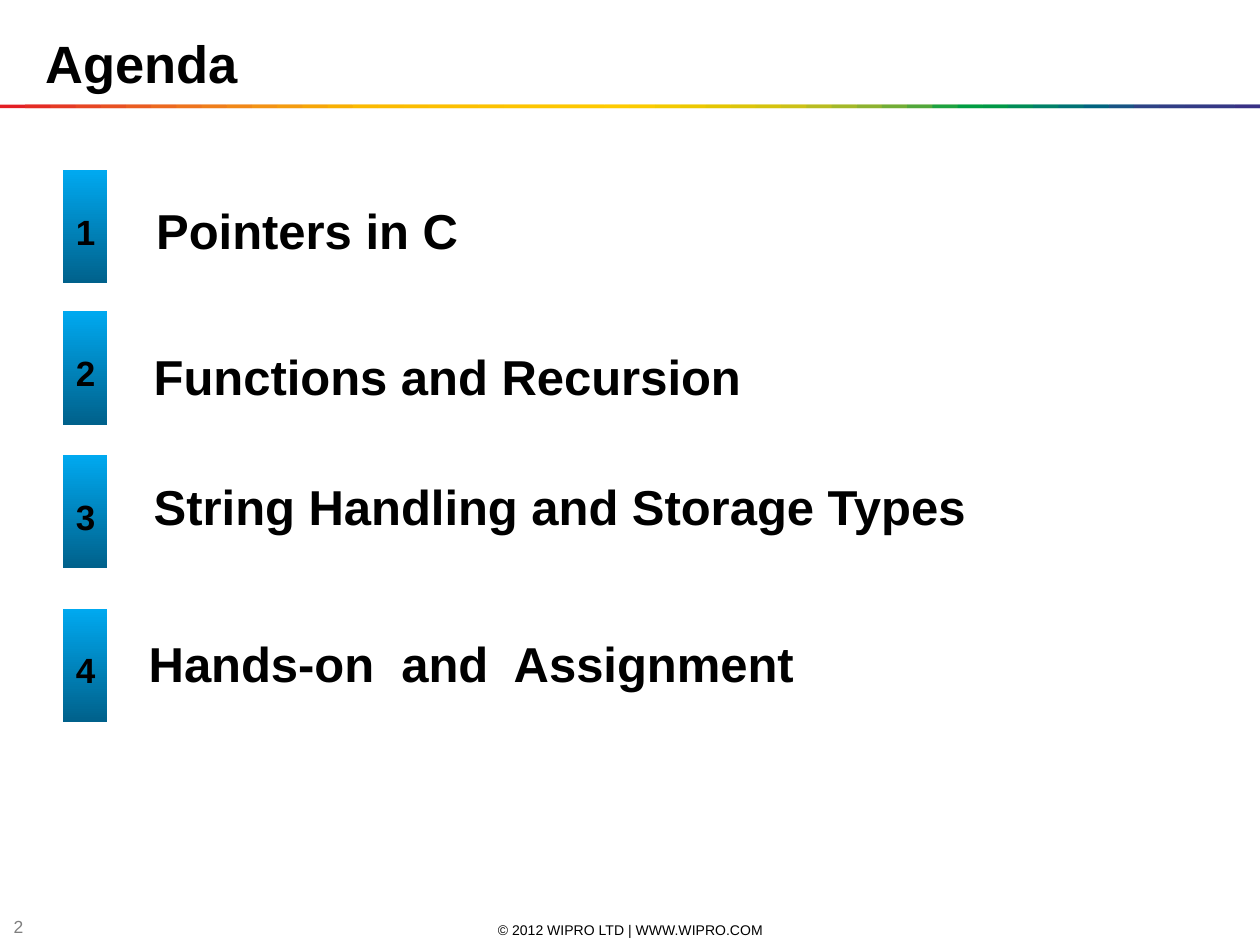
from dataclasses import dataclass

from lxml import etree
from pptx import Presentation
from pptx import util as u
from pptx.dml.color import RGBColor
from pptx.enum import shapes, text
from pptx.oxml import ns

COLS, ROWS = 100, 75
WIDTH, HEIGHT = u.Inches(10), u.Inches(7.5)
COMPARISON_LAYOUT = 4


@dataclass(frozen=True)
class Theme:
    font: str = "Arial"
    ink: str = "000000"
    muted: str = "7F7F7F"
    badge_dark: str = "00618B"
    badge_light: str = "00A9F0"
    title_size: int = 30
    item_size: int = 28
    badge_size: int = 20
    page_size: int = 10
    footer_size: int = 8
    rainbow: tuple = tuple("""
        E31E24 E42C24 E53A24 E74623 E85122 EA5D21 EC691F EE741D EF7E1A F18817
        F39314 F49C0F F6A607 F8B002 FBBA00 FBBB00 FBBD00 FCBF00 FCC000 FCC200
        FDC400 FDC600 FDC700 FEC900 FECB00 FBCB00 F3CA00 ECC800 E4C602 DCC50A
        D5C30E CCC117 B8BC21 A3B829 8CB230 71AD36 51A73B 1DA240 009D43 009846
        008C57 008068 007275 00637F 185384 2E4285 313E85 333B85 353885 393185
    """.split())


THEME = Theme()

# label, badge row, text column, text row, text columns, text rows
AGENDA = [
    ("Pointers in C", 13.5, 11.6, 15, 76.7, 7.1),
    ("Functions and Recursion", 24.7, 11.4, 26.6, 76.7, 7.1),
    ("String Handling and Storage Types", 36.1, 11.4, 36.9, 82.5, 9.8),
    ("Hands-on  and  Assignment", 48.3, 11, 49.4, 76.7, 7.1),
]


def cells(col, row, cols, rows):
    return (int(WIDTH * col / COLS), int(HEIGHT * row / ROWS),
            int(WIDTH * cols / COLS), int(HEIGHT * rows / ROWS))


def place(sp, box):
    sp.left, sp.top, sp.width, sp.height = cells(*box)


def write(sp, words, size, color=THEME.ink, bold=False,
          align=text.PP_ALIGN.LEFT, anchor=text.MSO_ANCHOR.TOP,
          side=0.1, top=0.05):
    tf = sp.text_frame
    tf.word_wrap = True
    tf.auto_size = text.MSO_AUTO_SIZE.NONE
    tf.vertical_anchor = anchor
    tf.margin_left = tf.margin_right = u.Inches(side)
    tf.margin_top, tf.margin_bottom = u.Inches(top), u.Inches(0.05)
    p = tf.paragraphs[0]
    p.alignment = align
    p.space_before = u.Pt(0)
    r = p.add_run()
    r.text = words
    r.font.name, r.font.size, r.font.bold = THEME.font, u.Pt(size), bold
    r.font.color.rgb = RGBColor.from_string(color)
    return p


def add_label(slide, box, words, size, **style):
    write(slide.shapes.add_textbox(*cells(*box)), words, size, **style)


def add_block(parent, box):
    sp = parent.shapes.add_shape(shapes.MSO_SHAPE.RECTANGLE, *cells(*box))
    sp.shadow.inherit = False
    sp.line.fill.background()
    return sp


def add_rainbow(slide):
    group = slide.shapes.add_group_shape()
    step = COLS / len(THEME.rainbow)
    for i, color in enumerate(THEME.rainbow):
        col = i * step
        sp = add_block(group, (col, 8.3, min(2 * step, COLS - col), 0.3))
        sp.fill.solid()
        sp.fill.fore_color.rgb = RGBColor.from_string(color)


def add_badge(slide, number, row):
    fill = add_block(slide, (5, row, 3.5, 9)).fill
    fill.gradient()
    fill.gradient_angle = 90
    for stop, color in zip(fill.gradient_stops,
                           (THEME.badge_dark, THEME.badge_light)):
        stop.color.rgb = RGBColor.from_string(color)
    add_label(slide, (5.1, row + 2.5, 3.4, 2), str(number), THEME.badge_size,
              bold=True, align=text.PP_ALIGN.CENTER, side=0.05, top=0.07)


def fill_item(sp, words, box):
    place(sp, box)
    p = write(sp, words, THEME.item_size, bold=True, side=0.08, top=0.09)
    pPr = p._p.get_or_add_pPr()
    pPr.set("marL", "0")
    pPr.set("indent", "0")
    etree.SubElement(pPr, ns.qn("a:buNone"))


def main():
    prs = Presentation()
    prs.slide_width, prs.slide_height = WIDTH, HEIGHT
    slide = prs.slides.add_slide(prs.slide_layouts[COMPARISON_LAYOUT])
    title, *items = slide.placeholders

    place(title, (2.6, 1.6, 92, 6.1))
    write(title, "Agenda", THEME.title_size, bold=True, top=0.09)
    add_rainbow(slide)
    for number, (sp, entry) in enumerate(zip(items, AGENDA), 1):
        words, badge_row, *box = entry
        fill_item(sp, words, box)
        add_badge(slide, number, badge_row)

    add_label(slide, (34.2, 73, 31.7, 1.6), "© 2012 WIPRO LTD | WWW.WIPRO.COM",
              THEME.footer_size, align=text.PP_ALIGN.CENTER,
              anchor=text.MSO_ANCHOR.MIDDLE)
    add_label(slide, (0.1, 72.7, 3.9, 1.6), "2", THEME.page_size,
              color=THEME.muted, anchor=text.MSO_ANCHOR.MIDDLE)
    prs.save("out.pptx")


if __name__ == "__main__":
    main()
